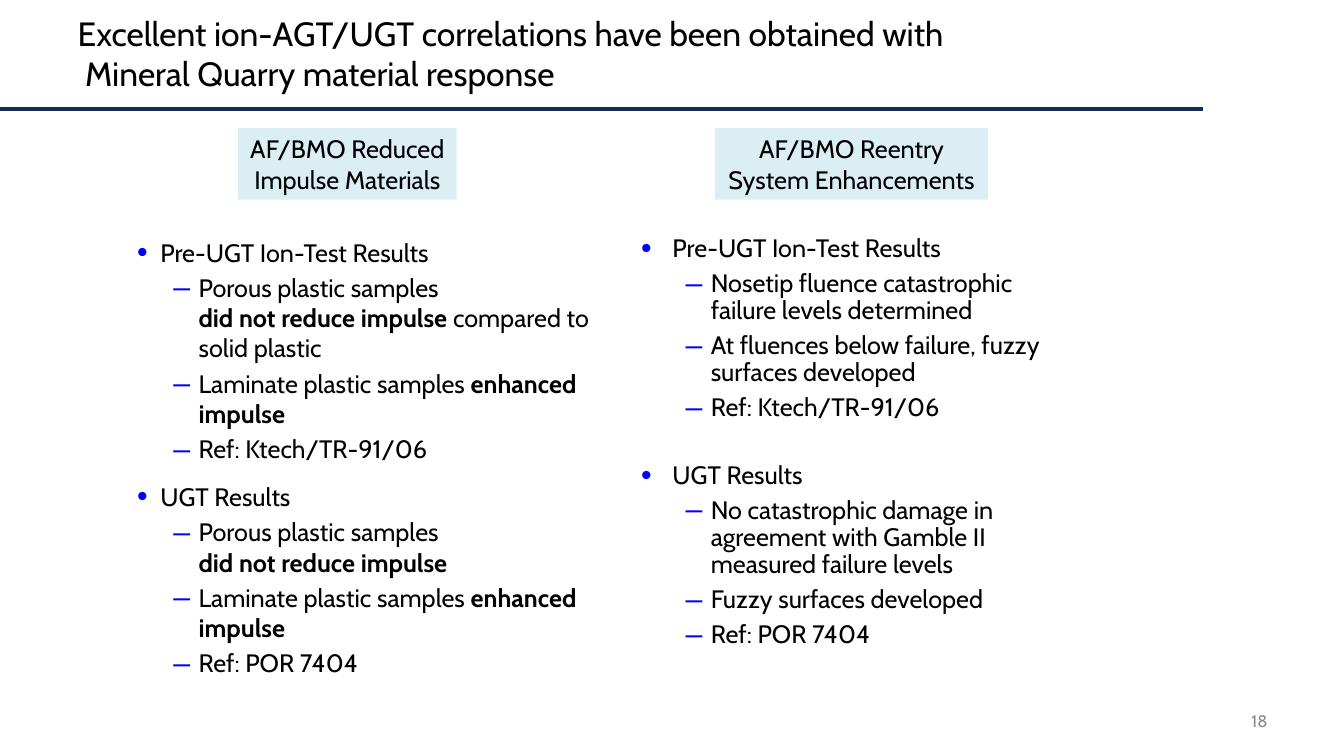
from lxml import etree
from pptx import Presentation
from pptx.dml.color import RGBColor
from pptx.enum.shapes import MSO_CONNECTOR, MSO_SHAPE
from pptx.enum.text import MSO_ANCHOR, MSO_AUTO_SIZE, PP_ALIGN
from pptx.oxml.ns import qn
from pptx.util import Inches, Pt

LEFT, CENTER, RIGHT = PP_ALIGN.LEFT, PP_ALIGN.CENTER, PP_ALIGN.RIGHT
TOP, MIDDLE = MSO_ANCHOR.TOP, MSO_ANCHOR.MIDDLE
NO_FIT, GROW = MSO_AUTO_SIZE.NONE, MSO_AUTO_SIZE.SHAPE_TO_FIT_TEXT

# Content: each result group is a heading and its points;
# a point is its runs, alternately regular and bold
TITLE = ("Excellent ion-AGT/UGT correlations have been obtained with\v"
         " Mineral Quarry material response")
PAGE_NUMBER = "18"
COLUMNS = [
    {
        "label": "AF/BMO Reduced\nImpulse Materials",
        "label_box": (2.36, 1.27, 2.17, 0.71),
        "list_box": (1.26, 2.3, 4.7, 4.5),
        "indents": (0.23, 0.61),
        "line_spacing": 1.0, "point_gap": 3.6, "group_gap": 12.6,
        "groups": [
            ("Pre-UGT Ion-Test Results", [
                ("Porous plastic samples\v", "did not reduce impulse ",
                 "compared to solid plastic"),
                ("Laminate plastic samples ", "enhanced impulse"),
                ("Ref: Ktech/TR-91/06",),
            ]),
            ("UGT Results", [
                ("Porous plastic samples\v", "did not reduce impulse"),
                ("Laminate plastic samples ", "enhanced impulse"),
                ("Ref: POR 7404",),
            ]),
        ],
    },
    {
        "label": "AF/BMO Reentry\nSystem Enhancements",
        "label_box": (7.09, 1.27, 2.71, 0.71),
        "list_box": (6.26, 2.29, 4.2, 4.51),
        "indents": (0.31, 0.69),
        "line_spacing": 0.9, "point_gap": 5.4, "group_gap": 29,
        "groups": [
            ("Pre-UGT Ion-Test Results", [
                ("Nosetip fluence catastrophic failure levels determined",),
                ("At fluences below failure, fuzzy surfaces developed",),
                ("Ref: Ktech/TR-91/06",),
            ]),
            ("UGT Results", [
                ("No catastrophic damage in agreement with Gamble II "
                 "measured failure levels",),
                ("Fuzzy surfaces developed",),
                ("Ref: POR 7404",),
            ]),
        ],
    },
]
POINT_HANGING = 0.25

THEME = {
    "font": "Cabin",
    "text": RGBColor(0x00, 0x00, 0x00),
    "number": RGBColor(0x8C, 0x8C, 0x8C),
    "rule": RGBColor(0x14, 0x29, 0x56),
    "label": RGBColor(0xDB, 0xEE, 0xF4),
    "bullet": "0000FF",
    "title_size": 24, "body_size": 18, "number_size": 12,
}


def place(shape, box):
    shape.left, shape.top, shape.width, shape.height = map(Inches, box)


def format_run(run, size, color=THEME["text"], bold=False):
    run.font.name = THEME["font"]
    run.font.size = Pt(size)
    run.font.color.rgb = color
    run.font.bold = bold


def set_text(shape, text, size, align, color=THEME["text"]):
    text_frame = shape.text_frame
    text_frame.text = text
    text_frame.vertical_anchor = MIDDLE
    for paragraph in text_frame.paragraphs:
        paragraph.alignment = align
        for run in paragraph.runs:
            format_run(run, size, color)


def set_bullet(paragraph, character, indent, hanging):
    properties = paragraph._p.get_or_add_pPr()
    properties.set("marL", str(Inches(indent)))
    properties.set("indent", str(-Inches(hanging)))
    color = etree.SubElement(properties, qn("a:buClr"))
    etree.SubElement(color, qn("a:srgbClr"), val=THEME["bullet"])
    etree.SubElement(properties, qn("a:buSzPct"), val="120000")
    etree.SubElement(properties, qn("a:buChar"), char=character)


def fill_list(placeholder, column):
    place(placeholder, column["list_box"])
    text_frame = placeholder.text_frame
    text_frame.word_wrap = True
    text_frame.auto_size = NO_FIT
    text_frame.vertical_anchor = TOP
    heading_indent, point_indent = column["indents"]

    lines = []
    for heading, points in column["groups"]:
        lines.append((0, (heading,), column["group_gap"] if lines else 0))
        lines += [(1, point, column["point_gap"]) for point in points]

    for index, (level, pieces, gap) in enumerate(lines):
        paragraph = text_frame.add_paragraph() if index else text_frame.paragraphs[0]
        paragraph.text = pieces[0]
        for piece in pieces[1:]:
            paragraph.add_run().text = piece
        paragraph.level = level
        if level:
            set_bullet(paragraph, "–", point_indent, POINT_HANGING)
        else:
            set_bullet(paragraph, "•", heading_indent, heading_indent)
        paragraph.alignment = LEFT
        paragraph.line_spacing = column["line_spacing"]
        paragraph.space_before = Pt(gap)
        for position, run in enumerate(paragraph.runs):
            format_run(run, THEME["body_size"], bold=position % 2 == 1)


def add_label(slide, column):
    label = slide.shapes.add_shape(
        MSO_SHAPE.RECTANGLE, *map(Inches, column["label_box"]))
    label.shadow.inherit = False
    label.fill.solid()
    label.fill.fore_color.rgb = THEME["label"]
    label.line.fill.background()
    set_text(label, column["label"], THEME["body_size"], CENTER)
    label.text_frame.word_wrap = False
    label.text_frame.auto_size = GROW


def main():
    presentation = Presentation()
    presentation.slide_width = Inches(13.33)
    presentation.slide_height = Inches(7.5)
    slide = presentation.slides.add_slide(presentation.slide_layouts[3])

    # Title and the rule below it
    title = slide.shapes.title
    place(title, (0.67, -0.1, 11.08, 1.25))
    set_text(title, TITLE, THEME["title_size"], LEFT)
    title.text_frame.auto_size = NO_FIT
    rule = slide.shapes.add_connector(
        MSO_CONNECTOR.STRAIGHT, 0, Inches(1.08), Inches(11.93), Inches(1.08))
    rule.line.color.rgb = THEME["rule"]
    rule.line.width = Pt(3)
    etree.SubElement(rule._element.spPr, qn("a:effectLst"))

    # Two columns of results with their labels
    for number, column in enumerate(COLUMNS, start=1):
        fill_list(slide.placeholders[number], column)
        add_label(slide, column)

    # Page number
    page_number = slide.shapes.add_textbox(
        *map(Inches, (9.56, 6.95, 3.11, 0.4)))
    page_number.text_frame.word_wrap = True
    set_text(page_number, PAGE_NUMBER, THEME["number_size"], RIGHT, THEME["number"])

    presentation.save("out.pptx")


if __name__ == "__main__":
    main()
